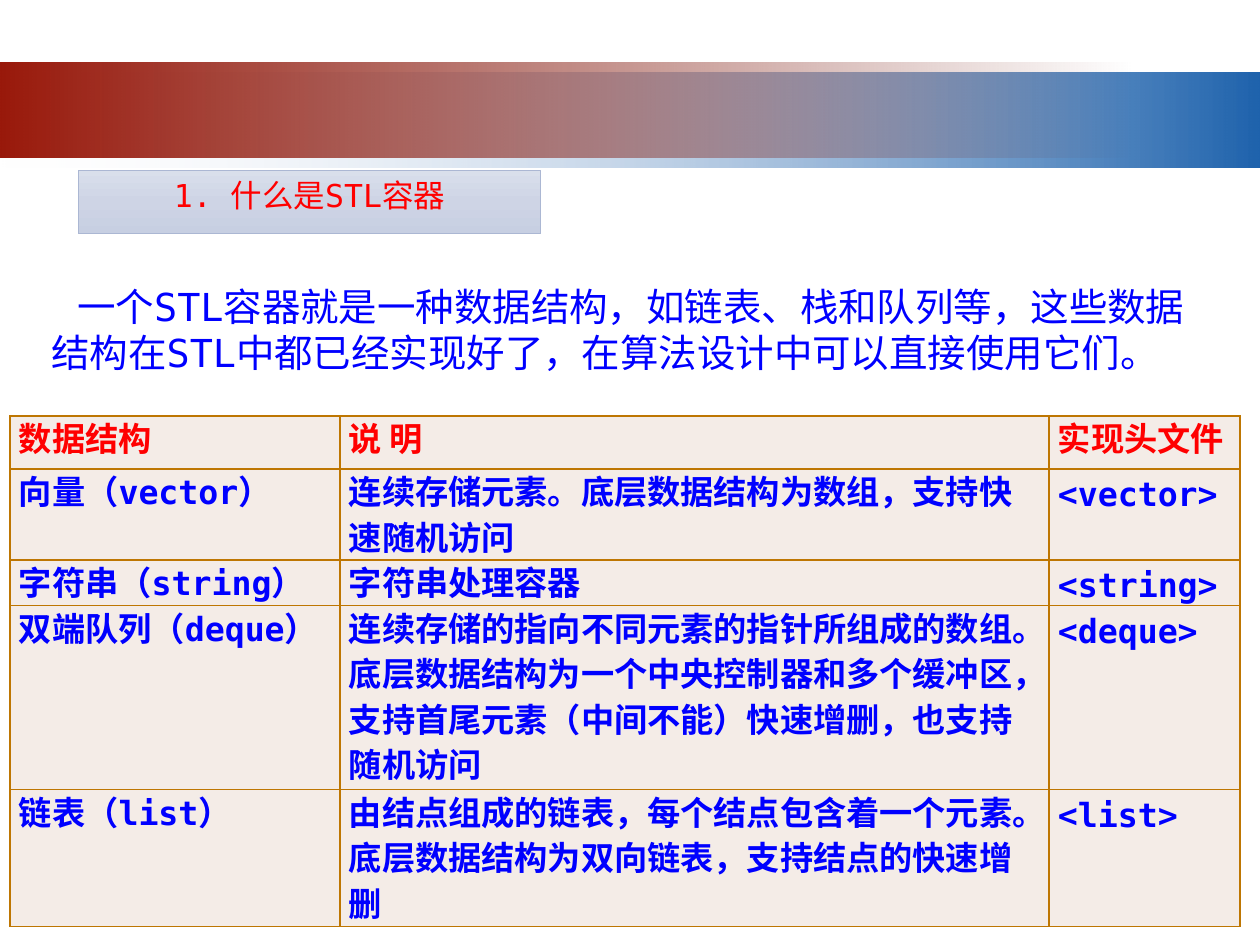
from dataclasses import dataclass

from lxml import etree
from pptx import Presentation
from pptx import util as u
from pptx.dml.color import RGBColor
from pptx.enum import shapes, text
from pptx.oxml import ns

SCALE = u.Inches(1) / 126


@dataclass(frozen=True)
class Theme:
    red: str = "FF0000"
    blue: str = "0000FF"
    cell: str = "F4ECE7"
    border: str = "BE7602"
    title_line: str = "ABB7D3"
    title_fill: tuple = ((0, "D9DFEB", 100), (50, "CED4E5", 100), (100, "C7CFE2", 100))
    blue_band: tuple = ((0, "F1F2F7", 0), (100, "1F63AD", 100))
    red_band: tuple = ((0, "99190B", 100), (100, "6D1208", 0))
    mono: str = "DejaVu Sans Mono"
    serif: str = "Times New Roman"
    title_size: int = 18
    body_size: int = 22
    table_size: int = 19
    table_leading: int = 26


THEME = Theme()

HEADER = ("数据结构", "说 明", "实现头文件")
CONTAINERS = (
    ("向量（vector）", "连续存储元素。底层数据结构为数组，支持快速随机访问", "<vector>"),
    ("字符串（string）", "字符串处理容器", "<string>"),
    ("双端队列（deque）",
     "连续存储的指向不同元素的指针所组成的数组。底层数据结构为一个中央控制器和多个缓冲区，"
     "支持首尾元素（中间不能）快速增删，也支持随机访问", "<deque>"),
    ("链表（list）",
     "由结点组成的链表，每个结点包含着一个元素。底层数据结构为双向链表，支持结点的快速增删",
     "<list>"),
)
COLUMN_WIDTHS = (330, 709, 191)
ROW_HEIGHTS = (53, 90, 45, 184, 137)


def px(length):
    return u.Emu(round(length * SCALE))


def add_element(parent, tag, **attributes):
    return etree.SubElement(parent, ns.qn(tag), attributes)


def add_color(parent, color, opacity=100):
    element = add_element(parent, "a:srgbClr", val=color)
    if opacity < 100:
        add_element(element, "a:alpha", val=str(opacity * 1000))


def style_font(font, name, size, color, bold=False):
    font.name = name
    font.size = u.Pt(size)
    font.bold = bold
    font.color.rgb = RGBColor.from_string(color)


def add_gradient_box(slide, box, stops, angle):
    shape = slide.shapes.add_shape(shapes.MSO_SHAPE.RECTANGLE, *map(px, box))
    shape.shadow.inherit = False
    shape.line.fill.background()
    gradient = etree.Element(ns.qn("a:gradFill"), rotWithShape="1")
    stop_list = add_element(gradient, "a:gsLst")
    for position, color, opacity in stops:
        add_color(add_element(stop_list, "a:gs", pos=str(position * 1000)), color, opacity)
    add_element(gradient, "a:lin", ang=str(angle * 60000), scaled="0")
    shape.element.spPr.find(ns.qn("a:prstGeom")).addnext(gradient)
    return shape


def add_banner(slide, box):
    left, top, width, height = box
    band = height - 10
    add_gradient_box(slide, (left, top + 10, width, band), THEME.blue_band, 0)
    add_gradient_box(slide, (left, top, width * 9 // 10, band), THEME.red_band, 0)


def add_title(slide, box):
    shape = add_gradient_box(slide, box, THEME.title_fill, 90)
    shape.line.color.rgb = RGBColor.from_string(THEME.title_line)
    shape.line.width = u.Pt(0.5)
    frame = shape.text_frame
    frame.text = "1. 什么是STL容器"
    frame.vertical_anchor = text.MSO_ANCHOR.TOP
    paragraph = frame.paragraphs[0]
    paragraph.alignment = text.PP_ALIGN.CENTER
    style_font(paragraph.runs[0].font, THEME.mono, THEME.title_size, THEME.red)


def add_introduction(slide, box):
    frame = slide.shapes.add_textbox(*map(px, box)).text_frame
    frame.word_wrap = True
    frame.text = ("一个STL容器就是一种数据结构，如链表、栈和队列等，这些数据结构在STL中都已经实现好了，"
                  "在算法设计中可以直接使用它们。")
    paragraph = frame.paragraphs[0]
    paragraph._p.get_or_add_pPr().set("indent", str(px(26)))
    style_font(paragraph.runs[0].font, THEME.mono, THEME.body_size, THEME.blue)


def add_borders(cell):
    properties = cell._tc.get_or_add_tcPr()
    for side in ("L", "R", "T", "B"):
        line = add_element(properties, f"a:ln{side}", w=str(u.Pt(1)))
        add_color(add_element(line, "a:solidFill"), THEME.border)


def fill_cell(cell, content, is_header, justified):
    add_borders(cell)
    cell.fill.solid()
    cell.fill.fore_color.rgb = RGBColor.from_string(THEME.cell)
    cell.margin_left = cell.margin_right = px(9)
    cell.margin_top = cell.margin_bottom = 0
    cell.text_frame.text = content
    paragraph = cell.text_frame.paragraphs[0]
    paragraph.alignment = text.PP_ALIGN.JUSTIFY if justified else text.PP_ALIGN.LEFT
    paragraph.line_spacing = u.Pt(THEME.table_leading)
    name, color = (THEME.serif, THEME.red) if is_header else (THEME.mono, THEME.blue)
    style_font(paragraph.runs[0].font, name, THEME.table_size, color, bold=True)


def add_container_table(slide, box):
    rows = (HEADER, *CONTAINERS)
    table = slide.shapes.add_table(len(rows), len(HEADER), *map(px, box)).table
    table.first_row = table.horz_banding = False
    for column, width in zip(table.columns, COLUMN_WIDTHS):
        column.width = px(width)
    for row, height in zip(table.rows, ROW_HEIGHTS):
        row.height = px(height)
    for row_index, contents in enumerate(rows):
        for column_index, content in enumerate(contents):
            is_header = row_index == 0
            justified = is_header or column_index == len(HEADER) - 1
            fill_cell(table.cell(row_index, column_index), content, is_header, justified)


def main():
    presentation = Presentation()
    presentation.slide_width = px(1260)
    presentation.slide_height = px(945)
    slide = presentation.slides.add_slide(presentation.slide_layouts[6])
    add_banner(slide, (0, 63, 1260, 105))
    add_title(slide, (78, 170, 463, 64))
    add_container_table(slide, (10, 416, sum(COLUMN_WIDTHS), sum(ROW_HEIGHTS)))
    add_introduction(slide, (39, 277, 1191, 106))
    presentation.save("out.pptx")


if __name__ == "__main__":
    main()
